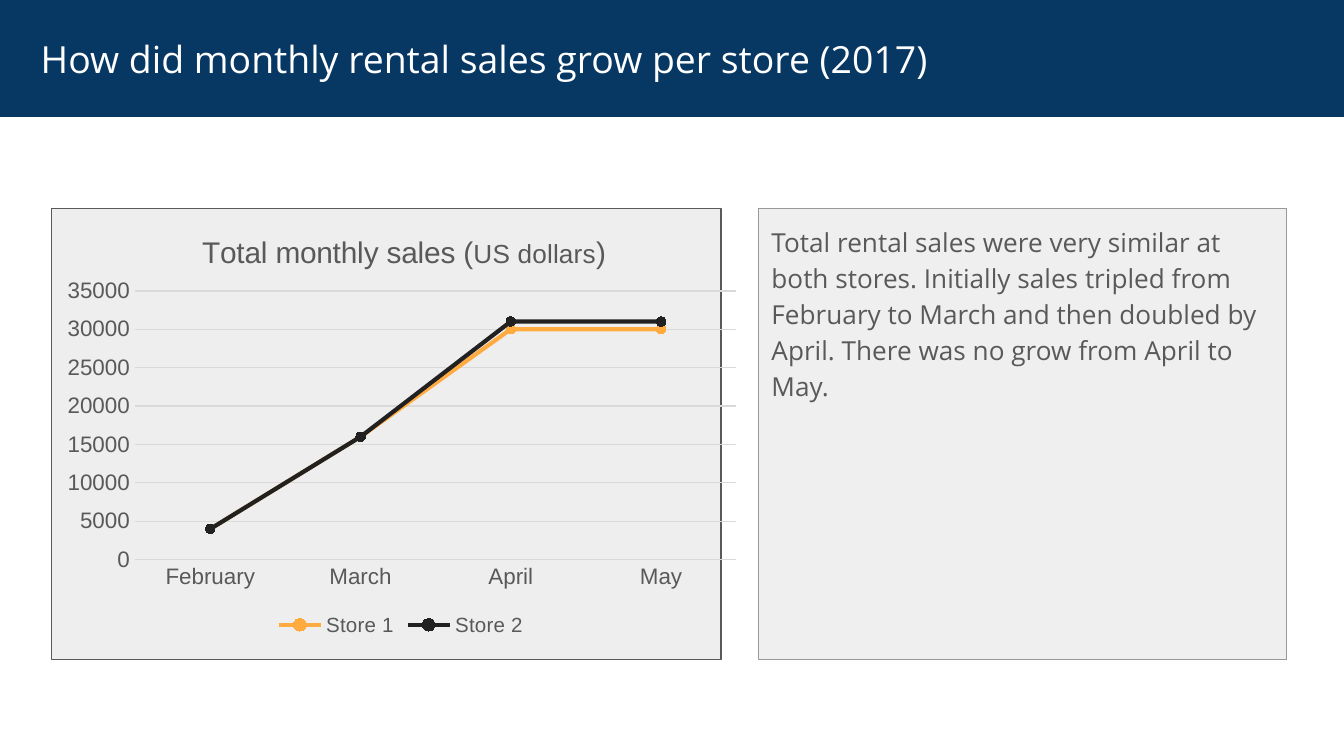
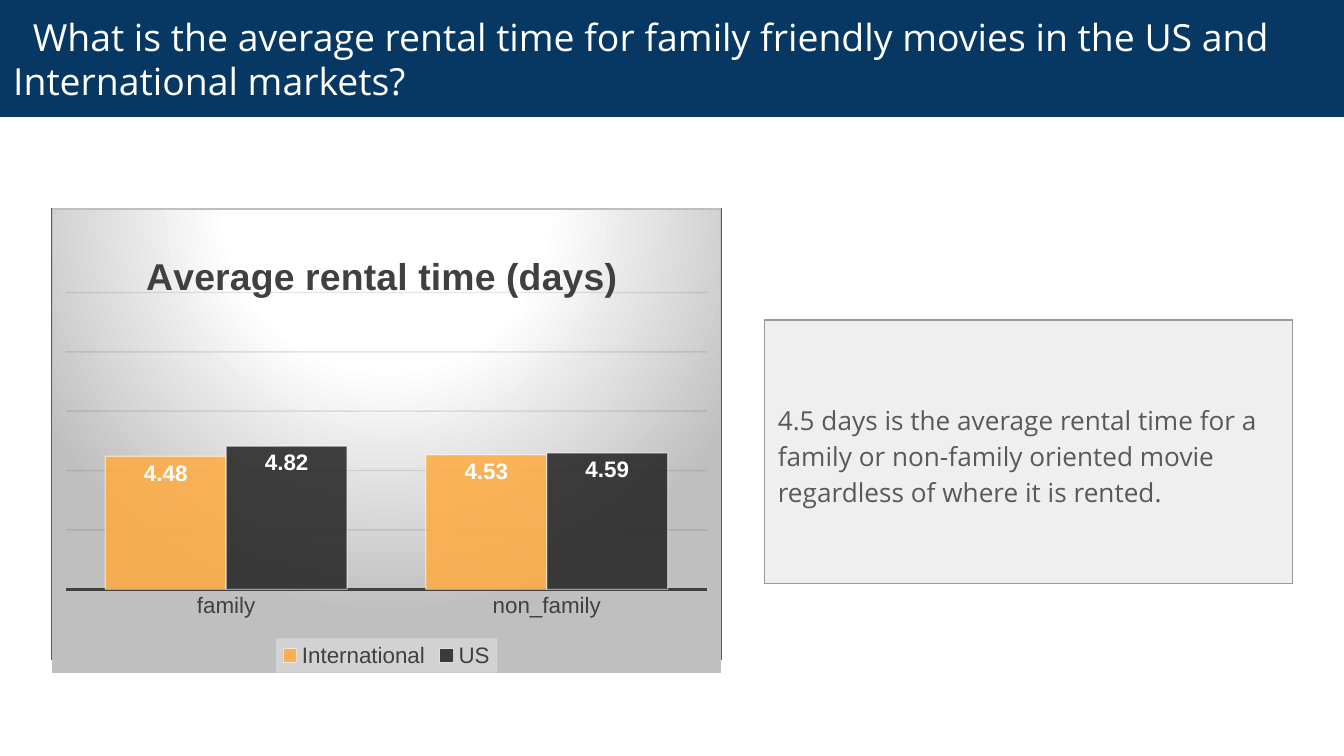
"""Build two slides on rental sales and rental time."""
from dataclasses import dataclass
from typing import Any

from lxml import etree
from pptx import Presentation
from pptx.chart.data import CategoryChartData
from pptx.dml.color import RGBColor
from pptx.enum.chart import (XL_CHART_TYPE, XL_LABEL_POSITION, XL_LEGEND_POSITION,
                             XL_MARKER_STYLE, XL_TICK_LABEL_POSITION, XL_TICK_MARK)
from pptx.enum.shapes import MSO_SHAPE
from pptx.enum.text import MSO_ANCHOR, MSO_AUTO_SIZE, PP_ALIGN
from pptx.oxml import parse_xml
from pptx.oxml.ns import qn
from pptx.util import Cm, Pt

LINE_CHART = XL_CHART_TYPE.LINE_MARKERS
COLUMN_CHART = XL_CHART_TYPE.COLUMN_CLUSTERED
NO_TICK = XL_TICK_MARK.NONE
NO_LABELS = XL_TICK_LABEL_POSITION.NONE
BOTTOM = XL_LEGEND_POSITION.BOTTOM
INSIDE_END = XL_LABEL_POSITION.INSIDE_END
CIRCLE = XL_MARKER_STYLE.CIRCLE
RECTANGLE = MSO_SHAPE.RECTANGLE
TOP, MIDDLE = MSO_ANCHOR.TOP, MSO_ANCHOR.MIDDLE
LEFT = PP_ALIGN.LEFT
NO_AUTOFIT = MSO_AUTO_SIZE.NONE

COLOURS = {
    "band": "073763", "white": "FFFFFF", "panel": "EEEEEE", "note": "EFEFEF",
    "note_line": "999999", "grey": "595959", "dark": "404040", "grid": "D9D9D9",
    "black": "0D0D0D", "silver": "BFBFBF", "legend": "F2F2F2",
    "orange": "FFAB40", "ink": "212121",
}
SERIES_COLOURS = ("orange", "ink")
TEXT_FONT, CHART_FONT = "Open Sans", "Arial"
NAMESPACES = ('xmlns:c="http://schemas.openxmlformats.org/drawingml/2006/chart" '
              'xmlns:a="http://schemas.openxmlformats.org/drawingml/2006/main"')
MARGIN = Cm(0.25)


@dataclass(frozen=True)
class Box:
    """A place on the slide, in centimetres."""
    left: float
    top: float
    width: float
    height: float

    def lengths(self) -> tuple:
        """Return the four lengths in the order shapes take them."""
        return Cm(self.left), Cm(self.top), Cm(self.width), Cm(self.height)


@dataclass(frozen=True)
class ChartSpec:
    """What one chart shows and how it is laid out."""
    kind: Any
    box: Box
    title: tuple  # (text, size) spans
    bold: bool
    colour: str
    categories: tuple
    series: dict
    maximum: float
    step: float
    legend_size: int
    title_place: tuple  # x, y as shares of the chart
    plot_place: tuple  # x, y, w, h as shares of the chart


@dataclass(frozen=True)
class SlideSpec:
    """The content of one slide."""
    title: str
    indent: float
    note: str
    note_box: Box
    note_inset: float
    chart: ChartSpec


BAND = Box(0, 0, 25.4, 2.21)
PANEL = Box(0.98, 3.94, 12.65, 8.53)

SLIDES = (
    SlideSpec(
        "How did monthly rental sales grow per store (2017)", 0.52,
        "Total rental sales were very similar at both stores. Initially sales tripled "
        "from February to March and then doubled by April. There was no grow from "
        "April to May.",
        Box(14.33, 3.94, 9.98, 8.53), 0.25,
        ChartSpec(LINE_CHART, Box(0.97, 3.94, 13.21, 8.2),
                  (("Total monthly sales (", 16), ("US dollars", 14), (")", 16)),
                  False, "grey", ("February", "March", "April", "May"),
                  {"Store 1": (4000, 16000, 30000, 30000),
                   "Store 2": (4000, 16000, 31000, 31000)},
                  35000, 5000, 11, (0.21, 0.05), (0.12, 0.19, 0.86, 0.62))),
    SlideSpec(
        "What is the average rental time for family friendly movies in the US and "
        "International markets?", 0.37,
        "4.5 days is the average rental time for a family or non-family oriented movie "
        "regardless of where it is rented.",
        Box(14.45, 6.05, 9.98, 4.98), 1.5,
        ChartSpec(COLUMN_CHART, Box(0.98, 3.94, 12.65, 8.79),
                  (("Average rental time (days)", 20),), True, "dark",
                  ("family", "non_family"),
                  {"International": (4.48, 4.53), "US": (4.82, 4.59)},
                  10, 2, 12, (0.13, 0.08), (0.02, 0.18, 0.96, 0.64))),
)


def rgb(name: str) -> RGBColor:
    """Look up a named colour."""
    return RGBColor.from_string(COLOURS[name])


def apply(target: Any, **values: Any) -> None:
    """Set each value as an attribute of the target."""
    for name, value in values.items():
        setattr(target, name, value)


def style_font(font: Any, size: float, colour: str, name: str = CHART_FONT,
               bold: bool = False) -> None:
    """Format a font."""
    apply(font, size=Pt(size), name=name, bold=bold)
    font.color.rgb = rgb(colour)


def paint_fill(fill: Any, colour: str) -> None:
    """Give a solid fill."""
    fill.solid()
    fill.fore_color.rgb = rgb(colour)


def paint_line(line: Any, colour: str, width: float = 0.75) -> None:
    """Give a solid line."""
    line.width = Pt(width)
    line.color.rgb = rgb(colour)


def set_opacity(parent: Any, percent: int) -> None:
    """Make the first colour below an element partly transparent."""
    colour = next(parent.iter(qn("a:srgbClr")))
    etree.SubElement(colour, qn("a:alpha")).set("val", str(percent * 1000))


def fill_placeholder(shape: Any, box: Box, text: str, size: float, colour: str,
                     fill: str, frame_values: dict, para_values: dict,
                     indent: float = 0) -> None:
    """Move a placeholder, paint it and write one paragraph."""
    left, top, width, height = box.lengths()
    apply(shape, left=left, top=top, width=width, height=height)
    paint_fill(shape.fill, fill)
    frame = shape.text_frame
    margins = {f"margin_{side}": MARGIN for side in ("left", "top", "right", "bottom")}
    apply(frame, **{**margins, "word_wrap": True, "auto_size": NO_AUTOFIT,
                    **frame_values})
    para = frame.paragraphs[0]
    span = para.add_run()
    span.text = text
    style_font(span.font, size, colour, TEXT_FONT)
    properties = para._p.get_or_add_pPr()
    properties.set("marL", "0")
    properties.set("indent", str(Cm(indent)))
    etree.SubElement(properties, qn("a:buNone"))
    apply(para, alignment=LEFT, space_before=Pt(0), **para_values)


def add_panel(page: Any) -> None:
    """Draw the panel behind a chart."""
    panel = page.shapes.add_shape(RECTANGLE, *PANEL.lengths())
    panel.shadow.inherit = False
    paint_fill(panel.fill, "panel")
    paint_line(panel.line, "grey")


def place_part(element: Any, position: int, shares: tuple, inner: bool = False) -> None:
    """Give a chart part a manual layout, in shares of the chart."""
    for old in element.findall(qn("c:layout")):
        element.remove(old)
    target = '<c:layoutTarget val="inner"/>' if inner else ""
    modes = '<c:xMode val="edge"/><c:yMode val="edge"/>'
    values = "".join(f'<c:{key} val="{share}"/>' for key, share in zip("xywh", shares))
    element.insert(position, parse_xml(
        f"<c:layout {NAMESPACES}><c:manualLayout>{target}{modes}{values}"
        "</c:manualLayout></c:layout>"))


def style_line_chart(chart: Any) -> None:
    """Format axes, lines and markers of the line chart."""
    paint_line(chart.category_axis.format.line, "grid")
    paint_line(chart.value_axis.major_gridlines.format.line, "grid")
    chart.value_axis.format.line.fill.background()
    style_font(chart.value_axis.tick_labels.font, 12, "grey")
    for series, colour in zip(chart.plots[0].series, SERIES_COLOURS):
        series.smooth = False
        paint_line(series.format.line, colour, 2.25)
        apply(series.marker, style=CIRCLE, size=5)
        paint_fill(series.marker.format.fill, colour)
        paint_line(series.marker.format.line, colour)


def add_backdrop(chart: Any) -> None:
    """Give the chart a round gradient and its legend a pale fill."""
    stops = "".join(f'<a:gs pos="{place * 1000}"><a:srgbClr val="{COLOURS[name]}"/></a:gs>'
                    for place, name in ((0, "white"), (39, "white"), (100, "silver")))
    area = parse_xml(
        f'<c:spPr {NAMESPACES}><a:gradFill><a:gsLst>{stops}</a:gsLst><a:path path="circle">'
        '<a:fillToRect l="50000" t="-80000" r="50000" b="180000"/></a:path></a:gradFill>'
        f'<a:ln w="9525"><a:solidFill><a:srgbClr val="{COLOURS["silver"]}"/></a:solidFill>'
        "</a:ln></c:spPr>")
    legend_area = parse_xml(
        f'<c:spPr {NAMESPACES}><a:solidFill><a:srgbClr val="{COLOURS["legend"]}"/>'
        "</a:solidFill></c:spPr>")
    set_opacity(legend_area, 39)
    for owner, properties in ((chart._chartSpace, area),
                              (chart.legend._element, legend_area)):
        owner.find(qn("c:txPr")).addprevious(properties)


def style_column_chart(chart: Any) -> None:
    """Format axes, columns and labels of the column chart."""
    paint_line(chart.category_axis.format.line, "dark", 1.5)
    grid = chart.value_axis.major_gridlines
    paint_line(grid.format.line, "black")
    set_opacity(grid.format.line._get_or_add_ln(), 10)
    apply(chart.value_axis, visible=False, tick_label_position=NO_LABELS)
    plot = chart.plots[0]
    apply(plot, gap_width=65, overlap=0, vary_by_categories=False)
    for series, colour in zip(plot.series, SERIES_COLOURS):
        paint_fill(series.format.fill, colour)
        paint_line(series.format.line, "white")
        properties = series._element.find(qn("c:spPr"))
        set_opacity(properties.find(qn("a:solidFill")), 85)
        set_opacity(properties.find(qn("a:ln")), 50)
        labels = series.data_labels
        apply(labels, show_value=True, position=INSIDE_END)
        style_font(labels.font, 12, "white", bold=True)
    add_backdrop(chart)


STYLES = {LINE_CHART: style_line_chart, COLUMN_CHART: style_column_chart}


def add_chart(page: Any, spec: ChartSpec) -> None:
    """Draw a chart with its title, axes and legend."""
    data = CategoryChartData()
    data.categories = spec.categories
    for name, values in spec.series.items():
        data.add_series(name, values)
    chart = page.shapes.add_chart(spec.kind, *spec.box.lengths(), data).chart
    style_font(chart.font, 10, spec.colour)
    apply(chart, has_title=True, has_legend=True)
    para = chart.chart_title.text_frame.paragraphs[0]
    for text, size in spec.title:
        span = para.add_run()
        span.text = text
        style_font(span.font, size, spec.colour, bold=spec.bold)
    place_part(chart.chart_title._element, 1, spec.title_place)
    place_part(chart._chartSpace.chart.plotArea, 0, spec.plot_place, inner=True)
    apply(chart.legend, position=BOTTOM, include_in_layout=False)
    style_font(chart.legend.font, spec.legend_size, spec.colour)
    for axis in (chart.category_axis, chart.value_axis):
        apply(axis, major_tick_mark=NO_TICK, minor_tick_mark=NO_TICK)
    style_font(chart.category_axis.tick_labels.font, 12, spec.colour)
    apply(chart.value_axis, has_major_gridlines=True, minimum_scale=0,
          maximum_scale=spec.maximum, major_unit=spec.step)
    STYLES[spec.kind](chart)


def add_page(deck: Any, spec: SlideSpec) -> None:
    """Build one slide."""
    page = deck.slides.add_slide(deck.slide_layouts[1])
    note = page.placeholders[1]
    fill_placeholder(note, spec.note_box, spec.note, 14, "grey", "note",
                     {"vertical_anchor": TOP, "margin_top": Cm(spec.note_inset)},
                     {"line_spacing": 1.15, "space_after": Pt(16)})
    paint_line(note.line, "note_line")
    fill_placeholder(page.shapes.title, BAND, spec.title, 20, "white", "band",
                     {"vertical_anchor": MIDDLE}, {}, spec.indent)
    add_panel(page)
    add_chart(page, spec.chart)


def main() -> None:
    """Build and save the deck."""
    deck = Presentation()
    apply(deck, slide_width=Cm(25.4), slide_height=Cm(14.29))
    for spec in SLIDES:
        add_page(deck, spec)
    deck.save("out.pptx")


main()
